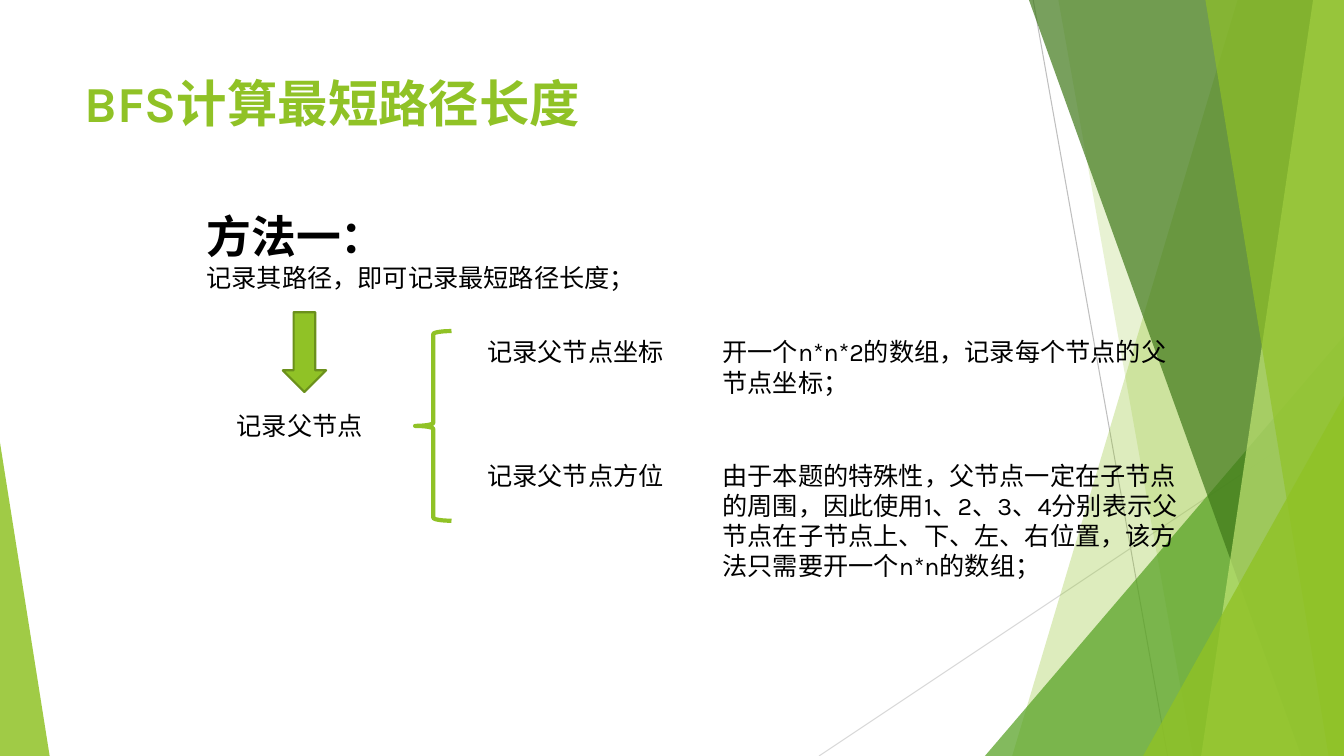
from lxml import etree
from pptx import Presentation
from pptx.dml.color import RGBColor
from pptx.enum.shapes import MSO_CONNECTOR, MSO_SHAPE
from pptx.oxml.ns import qn
from pptx.util import Pt

LINE = MSO_CONNECTOR.STRAIGHT
WEDGE = MSO_SHAPE.ISOSCELES_TRIANGLE
ARROW = MSO_SHAPE.DOWN_ARROW
BRACE = MSO_SHAPE.LEFT_BRACE

GREEN = RGBColor(0x90, 0xC2, 0x26)
LEAF = RGBColor(0x54, 0xA0, 0x21)
DARK = RGBColor(0x3F, 0x78, 0x19)
PALE = RGBColor(0xC0, 0xE4, 0x74)
OLIVE = RGBColor(0x6B, 0x90, 0x1C)
GRAY = RGBColor(0xBF, 0xBF, 0xBF)
SILVER = RGBColor(0xD9, 0xD9, 0xD9)
BLACK = RGBColor(0, 0, 0)

WIDE, HIGH = 960, 540


class Canvas:
    latin = "Karla"
    asian = "Noto Sans CJK SC"

    def __init__(self, slide):
        self.shapes = slide.shapes

    def line(self, x1, y1, x2, y2, color):
        rule = self.shapes.add_connector(LINE, Pt(x1), Pt(y1), Pt(x2), Pt(y2))
        rule.line.color.rgb = color
        rule.line.width = Pt(0.75)
        etree.SubElement(rule._element.spPr, qn("a:effectLst"))

    def tint(self, shape, color, alpha):
        shape.shadow.inherit = False
        shape.fill.solid()
        shape.fill.fore_color.rgb = color
        shape.line.fill.background()
        tone = shape._element.spPr.find(qn("a:solidFill"))[0]
        etree.SubElement(tone, qn("a:alpha"), val=str(alpha * 1000))

    def slab(self, top, base, color, alpha):
        """Full-height band from a slanted left edge to the slide's right edge."""
        pen = self.shapes.build_freeform(Pt(top), 0)
        ends = [(WIDE, 0), (WIDE, HIGH), (base, HIGH)]
        pen.add_line_segments([(Pt(x), Pt(y)) for x, y in ends], close=True)
        self.tint(pen.convert_to_shape(), color, alpha)

    def wedge(self, left, top, width, peak, color, alpha):
        """Triangle standing on the bottom edge of the slide."""
        shape = self.shapes.add_shape(
            WEDGE, Pt(left), Pt(top), Pt(width), Pt(HIGH - top))
        shape.adjustments[0] = peak
        self.tint(shape, color, alpha)

    def sign(self, kind, box, fill, edge, weight):
        shape = self.shapes.add_shape(kind, *map(Pt, box))
        shape.shadow.inherit = False
        if fill is None:
            shape.fill.background()
        else:
            shape.fill.solid()
            shape.fill.fore_color.rgb = fill
        shape.line.color.rgb = edge
        shape.line.width = Pt(weight)

    def text(self, box, *rows):
        """Each row is (words, size, bold, color, font)."""
        frame = self.shapes.add_textbox(*map(Pt, box)).text_frame
        frame.word_wrap = True
        for i, (words, size, bold, color, face) in enumerate(rows):
            para = frame.add_paragraph() if i else frame.paragraphs[0]
            para.text = words
            font = para.font
            font.size, font.bold, font.name = Pt(size), bold, face
            font.color.rgb = color
            style = para._p.pPr.find(qn("a:defRPr"))
            etree.SubElement(style, qn("a:ea"), typeface=self.asian)

    def note(self, left, top, width, height, words):
        self.text((left, top, width, height),
                  (words, 18, False, BLACK, self.latin))


def main():
    deck = Presentation()
    deck.slide_width, deck.slide_height = Pt(WIDE), Pt(HIGH)
    page = Canvas(deck.slides.add_slide(deck.slide_layouts[6]))

    # Backdrop
    page.line(738, 0, 834, HIGH, GRAY)
    page.line(WIDE, 290, 585, HIGH, SILVER)
    page.slab(884, 723, GREEN, 30)
    page.slab(756, 852, GREEN, 20)
    page.wedge(703.5, 240, 256.5, 1, LEAF, 72)
    page.slab(735, 929.5, DARK, 70)
    page.slab(938, 858, PALE, 70)
    page.slab(861, 949, GREEN, 65)
    page.wedge(816.5, 283, 143.5, 1, GREEN, 80)
    page.wedge(0, 316, 35.5, 0, GREEN, 85)

    # Title and method
    page.text((53.3, 48, 677, 104),
              ("BFS计算最短路径长度", 36, True, GREEN, page.latin))
    page.text((140.4, 145.5, 340, 68),
              ("方法一：", 32, True, BLACK, page.asian),
              ("记录其路径，即可记录最短路径长度；", 18, False, BLACK, page.latin))

    # Parent node and its two ways
    page.sign(ARROW, (202, 223, 31, 57), GREEN, OLIVE, 1.5)
    page.note(162, 289.5, 144, 29, "记录父节点")
    page.sign(BRACE, (296.5, 236.5, 26, 135.5), None, GREEN, 3)
    ways = [
        (237, 51, "记录父节点坐标",
         "开一个n*n*2的数组，记录每个节点的父节点坐标；"),
        (325, 94, "记录父节点方位",
         "由于本题的特殊性，父节点一定在子节点的周围，因此使用1、2、3、4分别表示"
         "父节点在子节点上、下、左、右位置，该方法只需要开一个n*n的数组；"),
    ]
    for top, height, name, detail in ways:
        page.note(341, top, 145, 29, name)
        page.note(509, top, 342, height, detail)

    deck.save("out.pptx")


if __name__ == "__main__":
    main()
